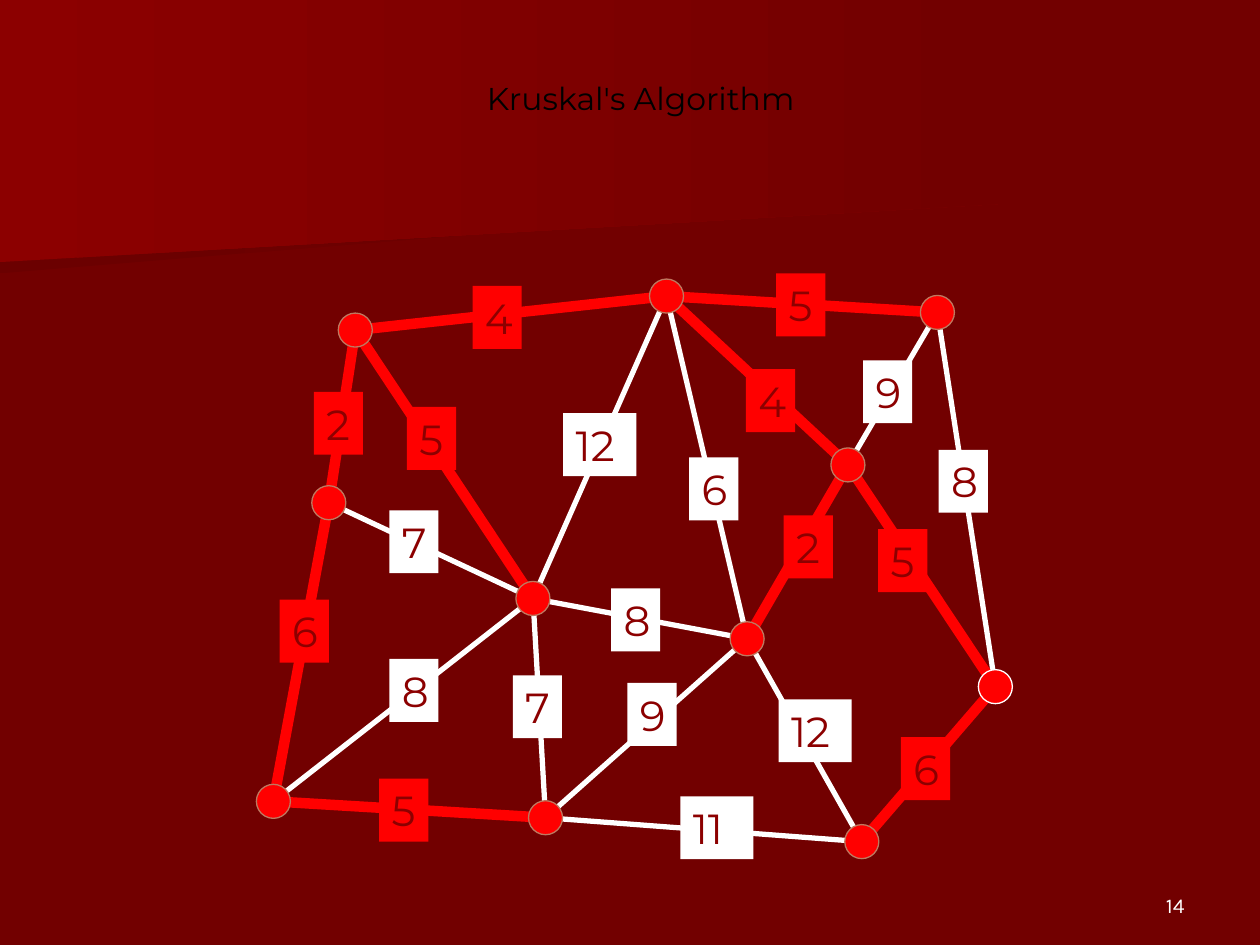
from lxml.etree import SubElement
from pptx import Presentation
from pptx.dml.color import RGBColor
from pptx.enum.shapes import MSO_CONNECTOR, MSO_SHAPE
from pptx.enum.text import MSO_ANCHOR, MSO_AUTO_SIZE, PP_ALIGN
from pptx.oxml.ns import qn
from pptx.util import Inches, Pt

COLORS = {
    "background": "720000",
    "shade": "6B0000",
    "wine": "8C0000",
    "red": "FF0000",
    "white": "FFFFFF",
    "black": "000000",
    "bronze": "BE7960",
}

NODE_SIZE = 0.27
LABEL_HEIGHT = 0.5
LABEL_WIDTHS = {1: 0.39, 2: 0.58}  # by number of digits

# Centre of each graph node
NODES = {
    "A": (2.82, 2.62),
    "B": (5.29, 2.35),
    "C": (7.44, 2.48),
    "D": (2.61, 3.99),
    "E": (4.23, 4.75),
    "F": (6.73, 3.69),
    "G": (5.93, 5.07),
    "H": (7.9, 5.45),
    "I": (2.17, 6.36),
    "J": (4.33, 6.49),
    "K": (6.84, 6.68),
}

# Edge ends, weight, left and top of the weight label
TREE_EDGES = [
    ("A", "B", 4, 3.75, 2.27),
    ("B", "C", 5, 6.16, 2.17),
    ("A", "D", 2, 2.49, 3.11),
    ("A", "E", 5, 3.23, 3.23),
    ("B", "F", 4, 5.92, 2.93),
    ("F", "G", 2, 6.22, 4.09),
    ("F", "H", 5, 6.97, 4.2),
    ("D", "I", 6, 2.22, 4.76),
    ("I", "J", 5, 3.01, 6.18),
    ("H", "K", 6, 7.15, 5.85),
]
OTHER_EDGES = [
    ("B", "E", 12, 4.47, 3.28),
    ("B", "G", 6, 5.47, 3.63),
    ("C", "F", 9, 6.85, 2.86),
    ("C", "H", 8, 7.45, 3.57),
    ("D", "E", 7, 3.09, 4.05),
    ("E", "G", 8, 4.85, 4.67),
    ("E", "I", 8, 3.09, 5.23),
    ("E", "J", 7, 4.07, 5.36),
    ("G", "J", 9, 4.98, 5.42),
    ("G", "K", 12, 6.18, 5.55),
    ("J", "K", 11, 5.4, 6.32),
]

# Background bands: corner points and left colour of the gradient
BANDS = [
    ([(7.78, 1.53), (0, 2.17), (0, 1.01), (7.79, 1.01)], "shade"),
    ([(7.92, 1.62), (0, 2.08), (0, 0), (7.92, 0)], "wine"),
]


def rgb(name):
    return RGBColor.from_string(COLORS[name])


def write_text(box, text, size, font, color, anchor=MSO_ANCHOR.TOP,
               align=PP_ALIGN.LEFT, wrap=True):
    frame = box.text_frame
    frame.text = text
    frame.auto_size = MSO_AUTO_SIZE.NONE
    frame.word_wrap = wrap
    frame.vertical_anchor = anchor
    para = frame.paragraphs[0]
    para.alignment = align
    span = para.runs[0]
    span.font.size = Pt(size)
    span.font.name = font
    span.font.color.rgb = rgb(color)


def add_band(page, points, left_color):
    corners = [(Inches(x), Inches(y)) for x, y in points]
    builder = page.shapes.build_freeform(*corners[0])
    builder.add_line_segments(corners[1:], close=True)
    band = builder.convert_to_shape()
    band.shadow.inherit = False
    band.line.fill.background()
    band.fill.gradient()
    band.fill.gradient_angle = 0
    for stop, color in zip(band.fill.gradient_stops, (left_color, "background")):
        stop.color.rgb = rgb(color)


def add_edge(page, start, end, color, width):
    ends = [Inches(value) for value in NODES[start] + NODES[end]]
    edge = page.shapes.add_connector(MSO_CONNECTOR.STRAIGHT, *ends)
    edge.line.color.rgb = rgb(color)
    edge.line.width = Pt(width)
    SubElement(edge.element.spPr, qn("a:effectLst"))


def add_node(page, name):
    x, y = NODES[name]
    node = page.shapes.add_shape(
        MSO_SHAPE.OVAL, Inches(x - NODE_SIZE / 2), Inches(y - NODE_SIZE / 2),
        Inches(NODE_SIZE), Inches(NODE_SIZE))
    node.shadow.inherit = False
    node.fill.solid()
    node.fill.fore_color.rgb = rgb("red")
    node.line.color.rgb = rgb("white" if name == "H" else "bronze")
    node.line.width = Pt(0.75)


def add_weight(page, weight, left, top, color):
    text = str(weight)
    label = page.shapes.add_shape(
        MSO_SHAPE.RECTANGLE, Inches(left), Inches(top),
        Inches(LABEL_WIDTHS[len(text)]), Inches(LABEL_HEIGHT))
    label.shadow.inherit = False
    label.fill.solid()
    label.fill.fore_color.rgb = rgb(color)
    label.line.fill.background()
    write_text(label, text, 24, "Montserrat", "wine")


def add_graph(page):
    groups = [(OTHER_EDGES, "white", 3), (TREE_EDGES, "red", 6)]
    for edges, color, width in groups:
        for start, end, *_ in edges:
            add_edge(page, start, end, color, width)
    for name in NODES:
        add_node(page, name)
    for edges, color, _ in groups:
        for _, _, weight, left, top in edges:
            add_weight(page, weight, left, top, color)


def add_title(page, text):
    title = page.shapes.title
    title.left, title.top = Inches(2.75), Inches(0.58)
    title.width, title.height = Inches(4.67), Inches(0.67)
    write_text(title, text, 18, "Montserrat", "black",
               align=PP_ALIGN.CENTER, wrap=False)
    # Bring the title in front of the bands
    title.element.getparent().append(title.element)


def add_page_number(page, number):
    box = page.shapes.add_textbox(
        Inches(7.17), Inches(6.83), Inches(2.33), Inches(0.5))
    write_text(box, number, 12, "Karla", "white",
               anchor=MSO_ANCHOR.BOTTOM, align=PP_ALIGN.RIGHT)


def main():
    deck = Presentation()
    deck.slide_width, deck.slide_height = Inches(10), Inches(7.5)
    page = deck.slides.add_slide(deck.slide_layouts[5])

    # Background
    page.background.fill.solid()
    page.background.fill.fore_color.rgb = rgb("background")
    for points, left_color in BANDS:
        add_band(page, points, left_color)

    # Content
    add_page_number(page, "14")
    add_graph(page)
    add_title(page, "Kruskal's Algorithm")
    deck.save("out.pptx")


if __name__ == "__main__":
    main()
